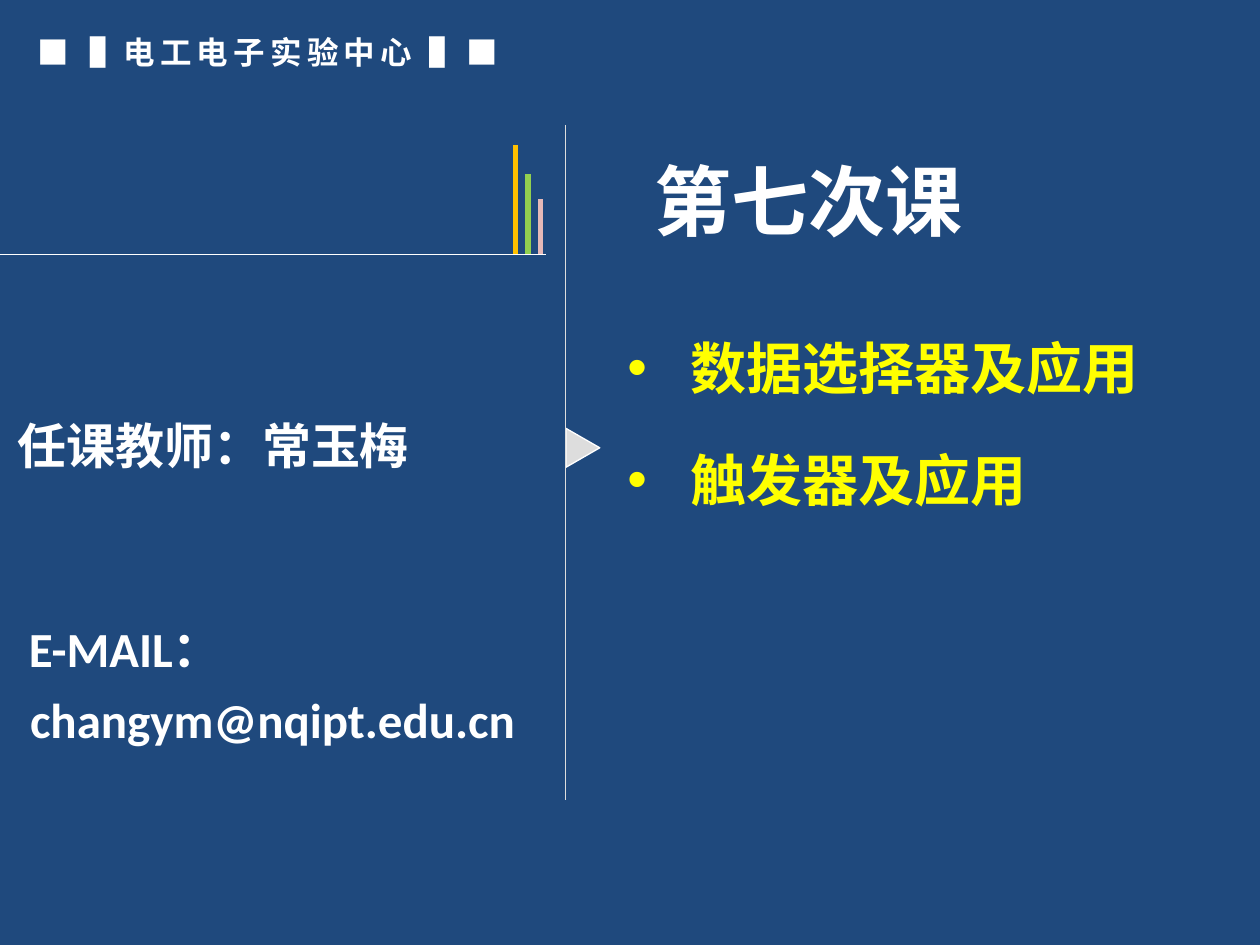
from pptx import Presentation
from pptx.dml.color import RGBColor
from pptx.enum.shapes import MSO_CONNECTOR as Connector, MSO_SHAPE as Preset
from pptx.enum.text import MSO_ANCHOR as Anchor, MSO_AUTO_SIZE as AutoSize
from pptx.oxml.ns import qn
from pptx.util import Pt
from lxml.etree import SubElement

COLORS = {
    "background": "1F497D",
    "white": "FFFFFF",
    "gray": "DDDDDD",
    "yellow": "FFFF00",
    "gold": "FFC000",
    "green": "92D050",
    "pink": "E6B9B8",
}
CJK = "Noto Sans CJK SC"


def rgb(name):
    """Return the named colour."""
    return RGBColor.from_string(COLORS[name])


def add_run(paragraph, text, size=28, color="white", font="Calibri", spacing=0):
    """Add a bold run with its Latin and East Asian fonts."""
    run = paragraph.add_run()
    run.text = text
    run.font.size = Pt(size)
    run.font.bold = True
    run.font.name = font
    run.font.color.rgb = rgb(color)
    properties = run._r.get_or_add_rPr()
    SubElement(properties, qn("a:ea")).set("typeface", CJK)
    if spacing:
        properties.set("spc", str(spacing * 100))


def set_indent(paragraph, margin, indent, bullet=None):
    """Set the hanging indent and the bullet of a paragraph."""
    properties = paragraph._p.get_or_add_pPr()
    properties.set("marL", str(Pt(margin)))
    properties.set("indent", str(Pt(indent)))
    if bullet:
        SubElement(properties, qn("a:buFont")).set("typeface", "Arial")
        SubElement(properties, qn("a:buChar")).set("char", bullet)


def add_frame(slide, left, top, width, height):
    """Add a wrapping text box and return its text frame."""
    box = slide.shapes.add_textbox(Pt(left), Pt(top), Pt(width), Pt(height))
    box.text_frame.word_wrap = True
    return box.text_frame


def add_line(slide, x1, y1, x2, y2, color, width=0.75):
    """Add a straight line without a shadow."""
    line = slide.shapes.add_connector(Connector.STRAIGHT, Pt(x1), Pt(y1), Pt(x2), Pt(y2))
    line.line.color.rgb = rgb(color)
    line.line.width = Pt(width)
    SubElement(line._element.spPr, qn("a:effectLst"))


def add_header(slide, left, top, width, height):
    """Add the spaced name of the centre between block marks."""
    paragraph = add_frame(slide, left, top, width, height).paragraphs[0]
    for text, font in (("■▐ ", "Times New Roman"), ("电工电子实验中心 ", CJK), ("▌■", "Times New Roman")):
        add_run(paragraph, text, size=18, font=font, spacing=3)


def add_divider(slide, left, top, height):
    """Add the vertical divider with its pointer."""
    width, depth = 22.3, 19.4
    pointer = slide.shapes.add_shape(
        Preset.ISOSCELES_TRIANGLE, Pt(left - 1.4), Pt(top + 174.9), Pt(width), Pt(depth))
    pointer.rotation = 90
    pointer.shadow.inherit = False
    pointer.fill.solid()
    pointer.fill.fore_color.rgb = rgb("gray")
    pointer.line.color.rgb = rgb("white")
    pointer.line.width = Pt(0.75)
    add_line(slide, left, top, left, top + height, "gray")


def add_bars(slide, left, base, width):
    """Add the base line with three shrinking bars near its right end."""
    add_line(slide, left, base, left + width, base, "white")
    for index, (color, height) in enumerate((("gold", 62.4), ("green", 46), ("pink", 31.6))):
        x = left + width - 17.3 + index * 7.2
        add_line(slide, x, base - 0.4, x, base - height, color, width=3)


def add_title(slide, left, top, width, height):
    """Place and format the title."""
    title = slide.shapes.title
    title.left, title.top, title.width, title.height = Pt(left), Pt(top), Pt(width), Pt(height)
    frame = title.text_frame
    frame.word_wrap = False
    frame.auto_size = AutoSize.NONE
    frame.vertical_anchor = Anchor.TOP
    add_run(frame.paragraphs[0], "第七次课", size=44, font=CJK)


def add_topics(slide, left, top, width, height):
    """Add the bulleted topics of the lesson."""
    frame = add_frame(slide, left, top, width, height)
    for index, topic in enumerate(("数据选择器及应用", "触发器及应用")):
        paragraph = frame.add_paragraph() if index else frame.paragraphs[0]
        paragraph.line_spacing = 1.5
        paragraph.space_before = Pt(6.4)
        set_indent(paragraph, 36, -36, bullet="•")
        add_run(paragraph, topic, size=32, color="yellow")


def add_teacher(slide, left, top, width):
    """Add the teacher's name and address."""
    name = add_frame(slide, left, top, width, 48.2)
    name.vertical_anchor = Anchor.MIDDLE
    add_run(name.paragraphs[0], "任课教师：常玉梅")
    address = add_frame(slide, left, top + 113, width, 88.6).paragraphs[0]
    address.line_spacing = 1.2
    set_indent(address, 7.2, -0.72)
    add_run(address, "E-MAIL：changym@nqipt.edu.cn")


def main():
    """Build and save the slide."""
    presentation = Presentation()
    presentation.slide_width, presentation.slide_height = Pt(720), Pt(540)
    slide = presentation.slides.add_slide(presentation.slide_layouts[5])
    slide.background.fill.solid()
    slide.background.fill.fore_color.rgb = rgb("background")
    add_header(slide, 14.4, 15.1, 290.2, 28.8)
    add_divider(slide, 323.3, 71.3, 385.9)
    add_bars(slide, 0, 145.4, 311.8)
    add_title(slide, 365.8, 84.2, 193, 60.5)
    add_topics(slide, 351.4, 167.8, 340.6, 277.2)
    add_teacher(slide, 2.9, 230.4, 334.8)
    presentation.save("out.pptx")


if __name__ == "__main__":
    main()
